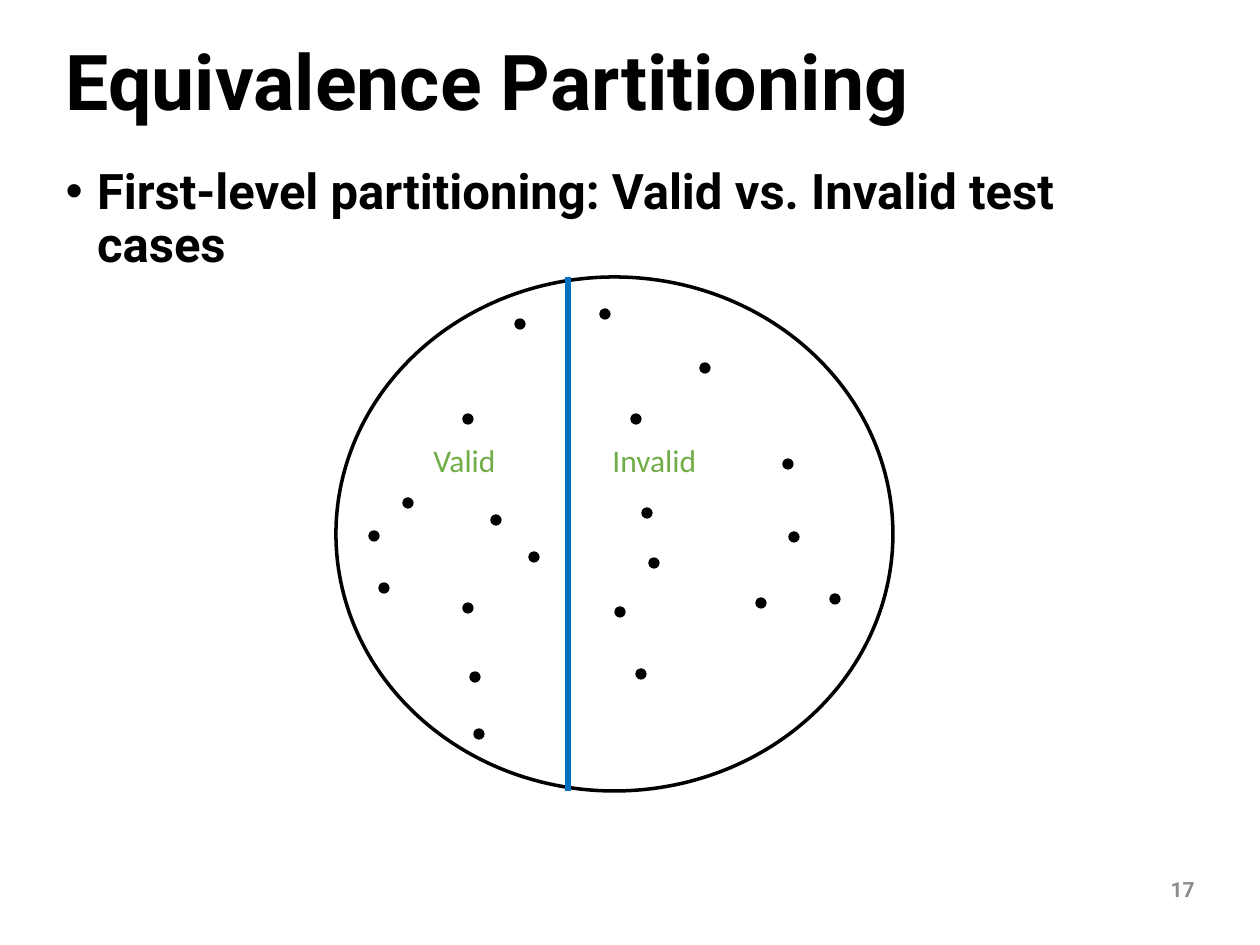
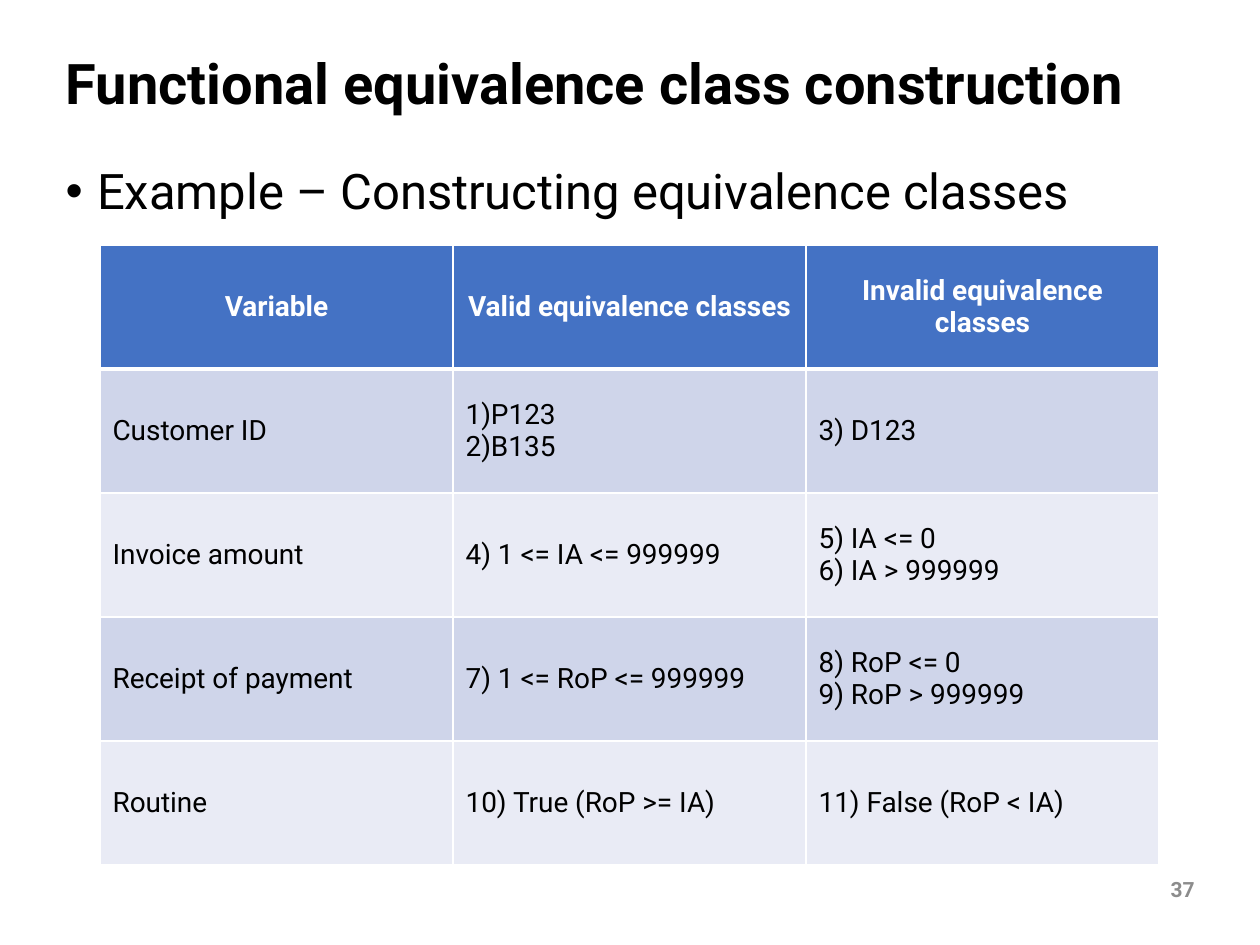
"""Build two slides on equivalence partitioning: a scatter of test cases and a class table."""
from lxml import etree
from pptx import Presentation
from pptx.dml.color import RGBColor
from pptx.enum.shapes import MSO_CONNECTOR, MSO_SHAPE
from pptx.enum.text import MSO_ANCHOR, MSO_AUTO_SIZE, PP_ALIGN
from pptx.oxml import parse_xml
from pptx.oxml.ns import nsdecls, qn
from pptx.util import Emu, Pt

LEFT, CENTER, RIGHT = PP_ALIGN.LEFT, PP_ALIGN.CENTER, PP_ALIGN.RIGHT
TOP, MIDDLE = MSO_ANCHOR.TOP, MSO_ANCHOR.MIDDLE
OVAL, STRAIGHT = MSO_SHAPE.OVAL, MSO_CONNECTOR.STRAIGHT
NO_AUTOFIT = MSO_AUTO_SIZE.NONE

BLACK, WHITE, GREY = "000000", "FFFFFF", "8C8C8C"
GREEN, DIVIDER_BLUE, HEADER_BLUE = "70AD47", "0070C0", "4472C4"
BANDS = ["E9EBF5", "CFD5EA"]
PX = 914400 / 126


def px(*lengths):
    return [Emu(round(length * PX)) for length in lengths]


def write(frame, text, size, color=BLACK, bold=False, align=LEFT, anchor=TOP,
          font="Roboto", spacing=1.0, bullet=False):
    frame.word_wrap = True
    frame.vertical_anchor = anchor
    paragraph = frame.paragraphs[0]
    paragraph.text = text
    paragraph.alignment = align
    paragraph.line_spacing = spacing
    paragraph.space_before = Pt(0)
    if bullet:
        properties = paragraph._p.get_or_add_pPr()
        properties.set("marL", "228600")
        properties.set("indent", "-228600")
        etree.SubElement(properties, qn("a:buFont")).set("typeface", "Arial")
        etree.SubElement(properties, qn("a:buChar")).set("char", "•")
    for style in [paragraph.font] + [run.font for run in paragraph.runs]:
        style.name, style.size, style.bold = font, Pt(size), bold
        style.color.rgb = RGBColor.from_string(color)


deck = Presentation()
deck.slide_width, deck.slide_height = px(1260, 945)

pages = [
    ("Equivalence Partitioning", 44,
     "First-level partitioning: Valid vs. Invalid test cases", True, "17"),
    ("Functional equivalence class construction", 32,
     "Example – Constructing equivalence classes", False, "37"),
]
for heading, heading_size, point, point_bold, number in pages:
    slide = deck.slides.add_slide(deck.slide_layouts[1])
    title, body = slide.placeholders
    title.left, title.top, title.width, title.height = px(53, 37, 1153, 98)
    body.left, body.top, body.width, body.height = px(53, 161, 1153, 677)
    title.text_frame.auto_size = body.text_frame.auto_size = NO_AUTOFIT
    write(title.text_frame, heading, heading_size, bold=True, anchor=MIDDLE, spacing=0.9)
    write(body.text_frame, point, 28, bold=point_bold, spacing=0.9, bullet=True)
    page_number = slide.shapes.add_textbox(*px(1072, 864, 135, 50))
    write(page_number.text_frame, number, 12, GREY, True, RIGHT, MIDDLE)

partition_slide, class_slide = deck.slides

for label, left, width in [("Valid", 421, 118), ("Invalid", 600, 144)]:
    region = partition_slide.shapes.add_textbox(*px(left, 435, width, 63))
    write(region.text_frame, label, 18, GREEN, font="Calibri")

input_domain = partition_slide.shapes.add_shape(OVAL, *px(336, 277, 557, 514))
input_domain.shadow.inherit = False
input_domain.fill.background()
input_domain.line.color.rgb = RGBColor.from_string(BLACK)
input_domain.line.width = Pt(2)

divider = partition_slide.shapes.add_connector(STRAIGHT, *px(568, 277, 568, 791))
divider.line.color.rgb = RGBColor.from_string(DIVIDER_BLUE)
divider.line.width = Pt(3)
etree.SubElement(divider._element.spPr, qn("a:effectLst"))

test_case_centres = [
    (636, 419), (605, 314), (788, 464), (647, 513), (520, 324), (468, 419), (374, 536),
    (468, 608), (479, 734), (496, 520), (534, 557), (794, 537), (761, 603), (835, 599),
    (408, 503), (384, 588), (475, 677), (641, 674), (620, 612), (654, 563), (705, 368),
]
for x, y in test_case_centres:
    test_case = partition_slide.shapes.add_shape(OVAL, *px(x - 5, y - 5, 10, 10))
    test_case.shadow.inherit = False
    test_case.fill.solid()
    test_case.fill.fore_color.rgb = RGBColor.from_string(BLACK)
    test_case.line.color.rgb = RGBColor.from_string(BLACK)
    test_case.line.width = Pt(0.75)

class_rows = [
    ("Variable", "Valid equivalence classes", "Invalid equivalence\nclasses"),
    ("Customer ID", "1)P123\n2)B135", "3) D123"),
    ("Invoice amount", "4) 1 <= IA <= 999999", "5) IA <= 0\n6) IA > 999999"),
    ("Receipt of payment", "7) 1 <= RoP <= 999999", "8) RoP <= 0\n9) RoP > 999999"),
    ("Routine", "10) True (RoP >= IA)", "11) False (RoP < IA)"),
]
classes = class_slide.shapes.add_table(5, 3, *px(100, 245, 1059, 620)).table
for column in classes.columns:
    column.width = px(353)[0]
for r, values in enumerate(class_rows):
    classes.rows[r].height = px(124)[0]
    is_header = r == 0
    border_widths = {"L": 1, "R": 1, "T": 3 if r == 1 else 1, "B": 3 if is_header else 1}
    for c, value in enumerate(values):
        cell = classes.cell(r, c)
        for side, points in border_widths.items():
            cell._tc.get_or_add_tcPr().append(parse_xml(
                f'<a:ln{side} {nsdecls("a")} w="{Pt(points)}"><a:solidFill>'
                f'<a:srgbClr val="{WHITE}"/></a:solidFill></a:ln{side}>'))
        cell.fill.solid()
        cell.fill.fore_color.rgb = RGBColor.from_string(HEADER_BLUE if is_header else BANDS[r % 2])
        cell.vertical_anchor = MIDDLE
        write(cell.text_frame, value, 16, WHITE if is_header else BLACK, is_header,
              CENTER if is_header else LEFT, MIDDLE)

deck.save("out.pptx")
